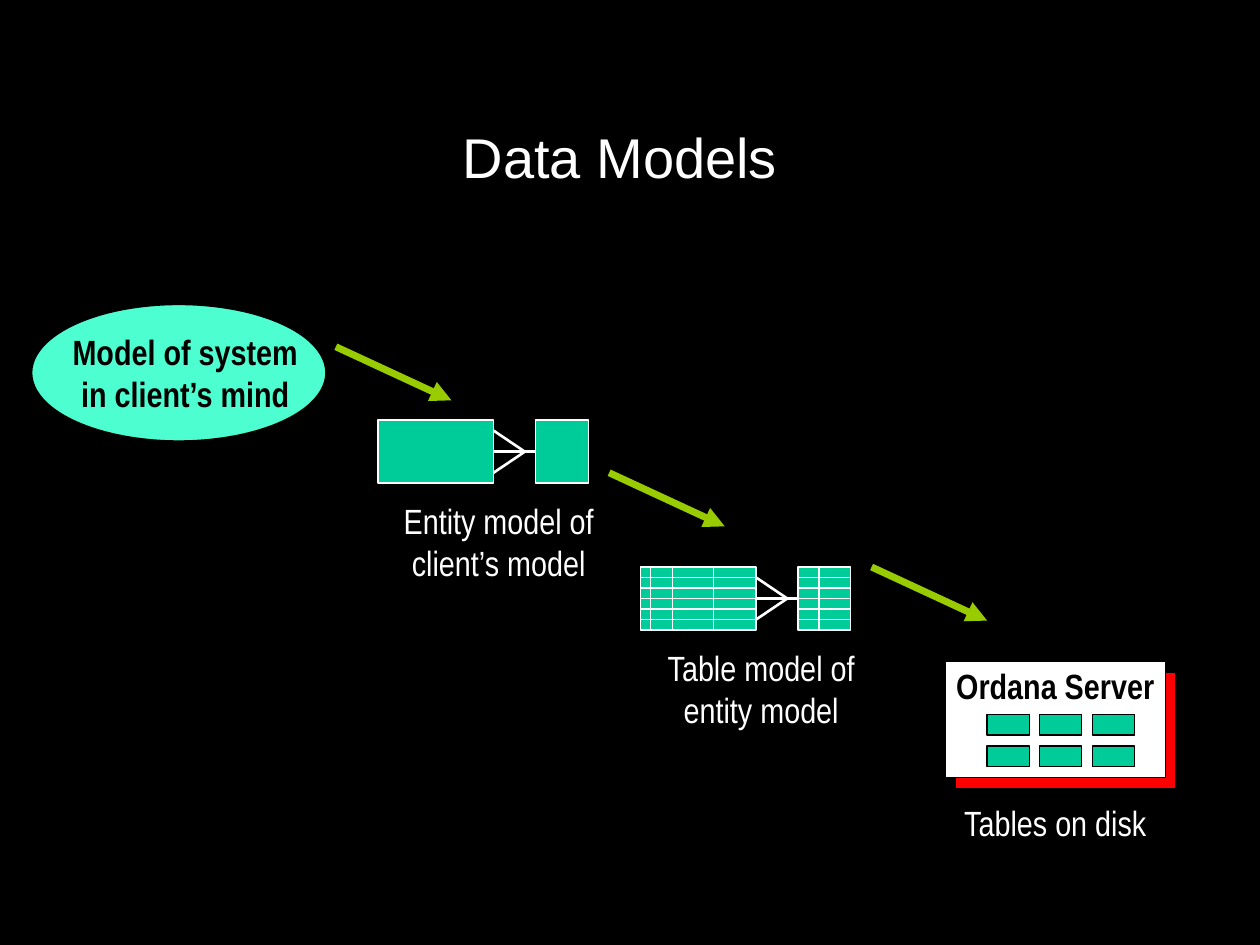
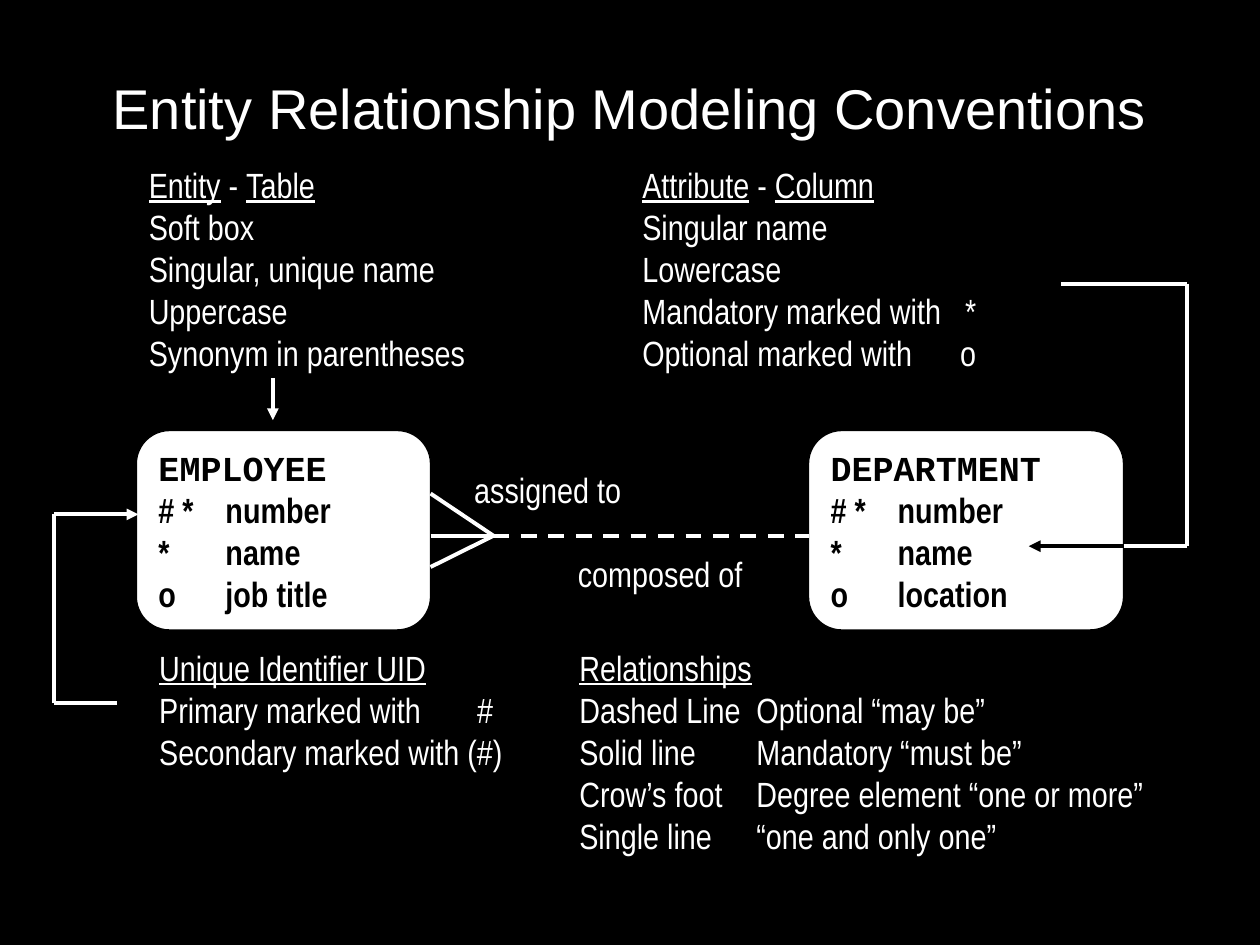
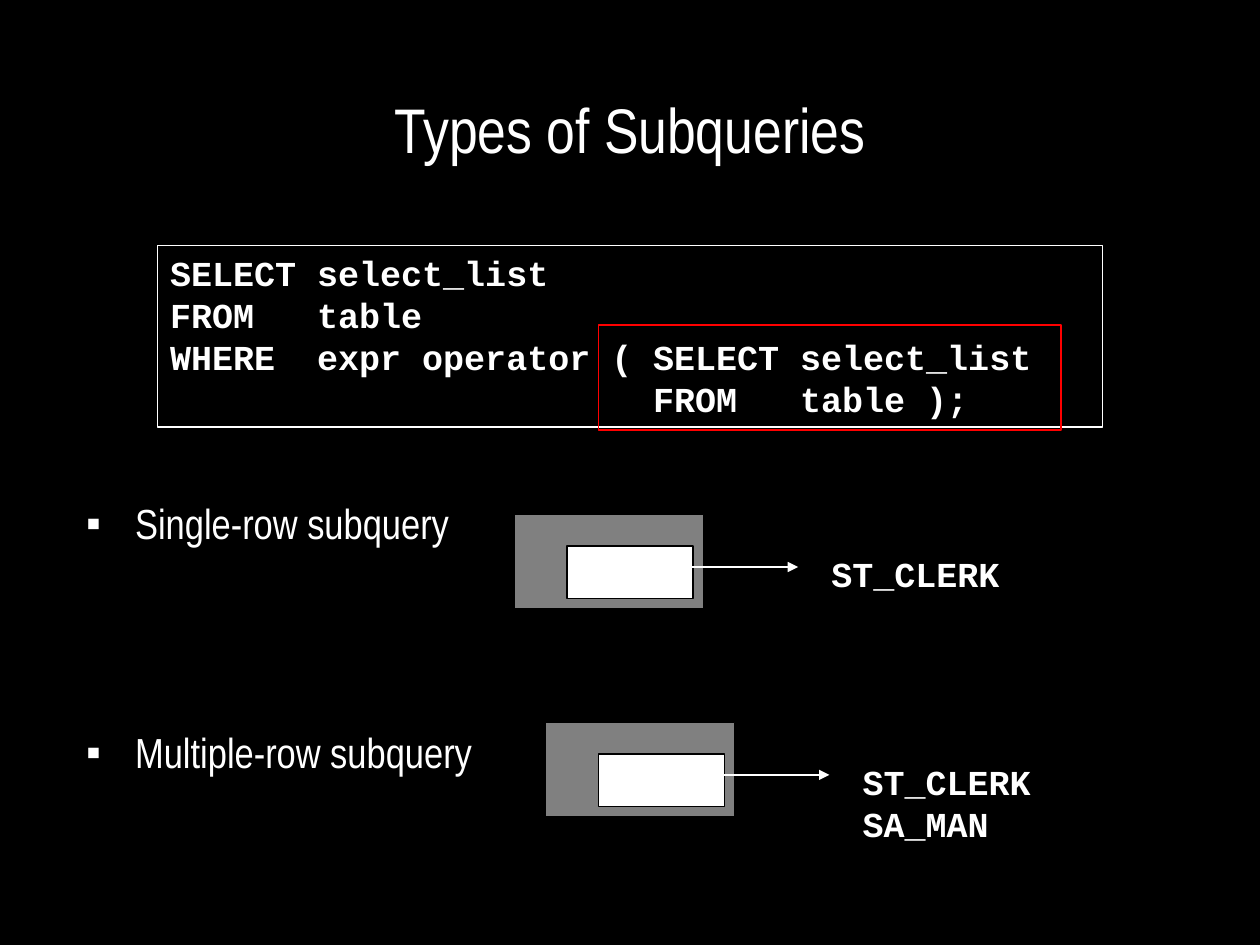
from dataclasses import dataclass
from itertools import pairwise, product

import pptx
import pptx.dml.color
import pptx.enum.dml
import pptx.enum.shapes
import pptx.enum.text
import pptx.oxml
import pptx.oxml.ns
import pptx.util
from pptx.util import Cm

SHAPE = pptx.enum.shapes.MSO_SHAPE
CENTER = pptx.enum.text.PP_ALIGN.CENTER
LEFT = pptx.enum.text.PP_ALIGN.LEFT
TOP = pptx.enum.text.MSO_ANCHOR.TOP
MIDDLE = pptx.enum.text.MSO_ANCHOR.MIDDLE


@dataclass(frozen=True)
class TextStyle:
    font: str
    size: int
    color: str
    bold: bool = False


@dataclass(frozen=True)
class Theme:
    black: str = "000000"
    white: str = "FFFFFF"
    mint: str = "4DFFD0"
    green: str = "00CC99"
    lime: str = "99CC00"
    red: str = "FF0000"
    gray: str = "808080"
    thin: float = 0.75
    medium: float = 1.5
    thick: float = 2.25
    heavy: float = 4
    title: TextStyle = TextStyle("Arial", 32, "FFFFFF")
    narrow_title: TextStyle = TextStyle("Arial Narrow", 36, "FFFFFF")
    bullet: TextStyle = TextStyle("Arial Narrow", 24, "FFFFFF")
    body: TextStyle = TextStyle("Arial Narrow", 20, "FFFFFF")
    dark_label: TextStyle = TextStyle("Arial Narrow", 20, "000000", True)
    entity_name: TextStyle = TextStyle("Courier New", 20, "000000", True)
    code: TextStyle = TextStyle("Courier New", 20, "FFFFFF", True)


THEME = Theme()


def rgb(color):
    return pptx.dml.color.RGBColor.from_string(color)


def add_element(parent, tag, **attributes):
    element = pptx.oxml.parse_xml(f"<a:{tag} {pptx.oxml.ns.nsdecls('a')}/>")
    for name, value in attributes.items():
        element.set(name, str(value))
    parent.append(element)
    return element


def style_font(font, style):
    font.name = style.font
    font.size = pptx.util.Pt(style.size)
    font.bold = style.bold
    font.color.rgb = rgb(style.color)


def write_lines(frame, lines, style, alignment=LEFT, tabs=(), first_style=None):
    """Write one paragraph per line; a line is a string or (text, underlined) runs.

    Each tab is a pair of position and alignment ("l" or "r").
    """
    frame.word_wrap = True
    for index, line in enumerate(lines):
        paragraph = frame.add_paragraph() if index else frame.paragraphs[0]
        if tabs:
            tab_list = add_element(paragraph._p.get_or_add_pPr(), "tabLst")
            for position, side in tabs:
                add_element(tab_list, "tab", pos=int(position), algn=side)
        for text, underlined in [(line, False)] if isinstance(line, str) else line:
            run = paragraph.add_run()
            run.text = text
            if underlined:
                run.font.underline = True
        paragraph.alignment = alignment
        style_font(paragraph.font, style if index or not first_style else first_style)


def add_text(slide, box, lines, style, alignment=LEFT, tabs=()):
    shape = slide.shapes.add_textbox(*map(Cm, box))
    write_lines(shape.text_frame, lines, style, alignment, tabs)


def add_box(slide, kind, box, fill, line):
    shape = slide.shapes.add_shape(kind, *map(Cm, box))
    shape.shadow.inherit = False
    if fill:
        shape.fill.solid()
        shape.fill.fore_color.rgb = rgb(fill)
    else:
        shape.fill.background()
    shape.line.color.rgb = rgb(line)
    shape.line.width = pptx.util.Pt(THEME.thin)
    return shape


def add_line(slide, start, end, width, color=THEME.white, arrow=False, dashed=False):
    connector = slide.shapes.add_connector(
        pptx.enum.shapes.MSO_CONNECTOR.STRAIGHT, *map(Cm, (*start, *end)))
    connector.line.color.rgb = rgb(color)
    connector.line.width = pptx.util.Pt(width)
    if dashed:
        connector.line.dash_style = pptx.enum.dml.MSO_LINE.DASH
    if arrow:
        add_element(connector.line._get_or_add_ln(), "tailEnd", type="triangle")
    add_element(connector._element.spPr, "effectLst")
    return connector


def add_route(slide, points, arrow=False):
    """Draw straight lines through the points, with an arrowhead at the last."""
    for start, end in pairwise(points):
        add_line(slide, start, end, THEME.thick, arrow=arrow and end == points[-1])


def add_crows_foot(slide, left, prong_tops, apex, width):
    for top in prong_tops:
        add_line(slide, (left, top), apex, width)


def add_grid(slide, box, column_offsets, row_count):
    left, top, width, height = box
    for row in range(1, row_count):
        y = top + row * height / row_count
        add_line(slide, (left, y), (left + width, y), THEME.thin)
    for offset in column_offsets:
        add_line(slide, (left + offset, top), (left + offset, top + height), THEME.thin)


def add_model(slide, left, top, caption, columns=None):
    """Draw two related boxes and a caption; columns turns them into tables."""
    boxes = [(left, top, 2.33, 1.27), (left + 3.18, top, 1.06, 1.27)]
    many, one = [add_box(slide, SHAPE.RECTANGLE, box, THEME.green, THEME.white)
                 for box in boxes]
    middle = top + 0.635
    relation = add_line(slide, (left + 2.33, middle), (left + 3.18, middle), THEME.medium)
    relation.begin_connect(many, 3)
    relation.end_connect(one, 1)
    add_crows_foot(slide, left + 2.33, (top + 0.21, top + 1.06),
                   (left + 2.96, middle), THEME.medium)
    for box, offsets in zip(boxes, columns or ()):
        add_grid(slide, box, offsets, 6)
    add_text(slide, (left - 0.21, top + 1.48, 5.29, 1.96), [caption], THEME.body, CENTER)


def add_server(slide, left, top):
    for offset, color in ((0.21, THEME.red), (0, THEME.white)):
        add_box(slide, SHAPE.RECTANGLE, (left + offset, top + offset, 4.45, 2.34),
                color, THEME.black)
    for row, column in product(range(2), range(3)):
        box = (left + 0.85 + column * 1.06, top + 1.06 + row * 0.64, 0.85, 0.42)
        add_box(slide, SHAPE.RECTANGLE, box, THEME.green, THEME.black)
    for offset, text, style in ((-0.06, "Ordana Server", THEME.dark_label),
                                (2.7, "Tables on disk", THEME.body)):
        add_text(slide, (left - 0.42, top + offset, 5.29, 1.11), [text], style, CENTER)


def add_entity(slide, box, name, attributes):
    shape = add_box(slide, SHAPE.ROUNDED_RECTANGLE, box, THEME.white, THEME.black)
    shape.text_frame.vertical_anchor = MIDDLE
    write_lines(shape.text_frame, [name, *attributes], THEME.dark_label,
                tabs=[(Cm(1.35), "l")], first_style=THEME.entity_name)


def add_subquery_result(slide, left, top, values):
    add_box(slide, SHAPE.RECTANGLE, (left, top, 3.81, 1.91), THEME.gray, THEME.black)
    add_box(slide, SHAPE.RECTANGLE, (left + 1.06, top + 0.64, 2.54, 1.06),
            THEME.white, THEME.black)
    add_line(slide, (left + 3.39, top + 1.06), (left + 5.72, top + 1.06),
             THEME.medium, arrow=True)
    add_text(slide, (left + 6.14, top + 0.64, 4.24, 1.96), values, THEME.code)


def move_placeholder(placeholder, box):
    placeholder.left, placeholder.top, placeholder.width, placeholder.height = map(Cm, box)
    placeholder.text_frame.vertical_anchor = TOP
    placeholder.text_frame.auto_size = pptx.enum.text.MSO_AUTO_SIZE.NONE


def add_slide(presentation, layout_name, title, box, style=THEME.title):
    layout = presentation.slide_layouts.get_by_name(layout_name)
    slide = presentation.slides.add_slide(layout)
    move_placeholder(slide.shapes.title, box)
    write_lines(slide.shapes.title.text_frame, [title], style, CENTER)
    return slide


def write_bullets(placeholder, items, gap):
    for item in items:
        first = item == items[0]
        frame = placeholder.text_frame
        paragraph = frame.paragraphs[0] if first else frame.add_paragraph()
        properties = paragraph._p.get_or_add_pPr()
        properties.set("marL", str(Cm(0.99)))
        properties.set("indent", str(-Cm(0.99)))
        add_element(add_element(properties, "buClr"), "srgbClr", val=THEME.white)
        add_element(properties, "buChar", char="▪")
        paragraph.add_run().text = item
        paragraph.space_before = pptx.util.Pt(0 if first else gap)
        style_font(paragraph.font, THEME.bullet)


def build_data_models(presentation):
    slide = add_slide(presentation, "Title Only", "Data Models", (1.07, 2.34, 22.86, 1.63))
    add_box(slide, SHAPE.OVAL, (0.64, 6.14, 5.93, 2.75), THEME.mint, THEME.black)
    add_text(slide, (1.17, 6.53, 5.13, 1.96), ["Model of system in client’s mind"],
             THEME.dark_label, CENTER)
    add_model(slide, 7.62, 8.47, "Entity model of client’s model")
    add_model(slide, 12.91, 11.43, "Table model of entity model",
              columns=[(0.21, 0.64, 1.48), (0.42,)])
    add_server(slide, 19.05, 13.34)
    for left, top in ((6.77, 6.99), (12.28, 9.53), (17.57, 11.43)):
        add_line(slide, (left, top), (left + 2.33, top + 1.08),
                 THEME.heavy, THEME.lime, arrow=True)


def build_conventions(presentation):
    slide = add_slide(presentation, "Title Only", "Entity Relationship Modeling Conventions",
                      (0, 1.35, 25.4, 1.63))
    mark_tab = [(Cm(6.73), "r")]
    add_text(slide, (2.75, 3.18, 8.89, 4.5), [
        [("Entity", True), (" - ", False), ("Table", True)],
        "Soft box", "Singular, unique name", "Uppercase", "Synonym in parentheses",
    ], THEME.body)
    add_text(slide, (12.7, 3.18, 8.89, 4.5), [
        [("Attribute", True), (" - ", False), ("Column", True)],
        "Singular name", "Lowercase", "Mandatory marked with\t*", "Optional marked with\to",
    ], THEME.body, tabs=mark_tab)
    add_text(slide, (2.96, 12.91, 9.53, 2.8), [
        [("Unique Identifier UID", True)],
        "Primary marked with\t#", "Secondary marked with (#)",
    ], THEME.body, tabs=mark_tab)
    add_text(slide, (11.43, 12.91, 12.91, 4.5), [
        [("Relationships", True)],
        "Dashed Line\tOptional “may be”", "Solid line\tMandatory “must be”",
        "Crow’s foot\tDegree element “one or more”", "Single line\t“one and only one”",
    ], THEME.body, tabs=[(Cm(3.57), "l")])

    add_entity(slide, (2.75, 8.68, 5.93, 4.02), "EMPLOYEE",
               ["# *\tnumber", "*\tname", "o\tjob title"])
    add_entity(slide, (16.3, 8.68, 6.35, 4.02), "DEPARTMENT",
               ["# *\tnumber", "*\tname", "o\tlocation"])
    apex = (9.95, 10.8)
    add_crows_foot(slide, 8.68, (9.95, 10.8, 11.43), apex, THEME.thick)
    add_line(slide, apex, (16.3, 10.8), THEME.thick, dashed=True)
    add_text(slide, (9.31, 9.31, 4.5, 1.11), ["assigned to"], THEME.body)
    add_text(slide, (11.4, 11.01, 4.5, 1.11), ["composed of"], THEME.body)

    add_route(slide, [(5.5, 7.62), (5.5, 8.47)], arrow=True)
    add_route(slide, [(2.36, 14.18), (1.09, 14.18), (1.09, 10.37), (2.79, 10.37)], arrow=True)
    add_route(slide, [(21.39, 5.72), (23.92, 5.72), (23.92, 11.01), (22.65, 11.01)])
    add_line(slide, (22.65, 11.01), (20.74, 11.01), THEME.thick, THEME.black, arrow=True)


def build_subqueries(presentation):
    slide = add_slide(presentation, "Title and Content", "Types of Subqueries",
                      (0, 1.7, 25.4, 1.78), THEME.narrow_title)
    body = slide.placeholders[1]
    move_placeholder(body, (1.48, 9.91, 22.65, 5.92))
    write_bullets(body, ["Single-row subquery", "Multiple-row subquery"], gap=102)
    add_subquery_result(slide, 10.37, 10.37, ["ST_CLERK"])
    add_subquery_result(slide, 11.0, 14.56, ["ST_CLERK", "SA_MAN"])

    statement = add_box(slide, SHAPE.RECTANGLE, (3.18, 4.95, 19.05, 3.66), None, THEME.white)
    statement.text_frame.vertical_anchor = TOP
    character_width = pptx.util.Pt(0.6 * THEME.code.size)
    write_lines(statement.text_frame, [
        "SELECT\tselect_list",
        "FROM\ttable",
        "WHERE\texpr operator (\tSELECT\tselect_list",
        "\t\tFROM\ttable );",
    ], THEME.code, tabs=[(column * character_width, "l") for column in (7, 23, 30)])
    add_box(slide, SHAPE.RECTANGLE, (12.07, 6.55, 9.32, 2.12), None, THEME.red)


def main():
    presentation = pptx.Presentation()
    presentation.slide_width, presentation.slide_height = Cm(25.4), Cm(19.05)
    background = presentation.slide_master.background.fill
    background.solid()
    background.fore_color.rgb = rgb(THEME.black)
    build_data_models(presentation)
    build_conventions(presentation)
    build_subqueries(presentation)
    presentation.save("out.pptx")


if __name__ == "__main__":
    main()
